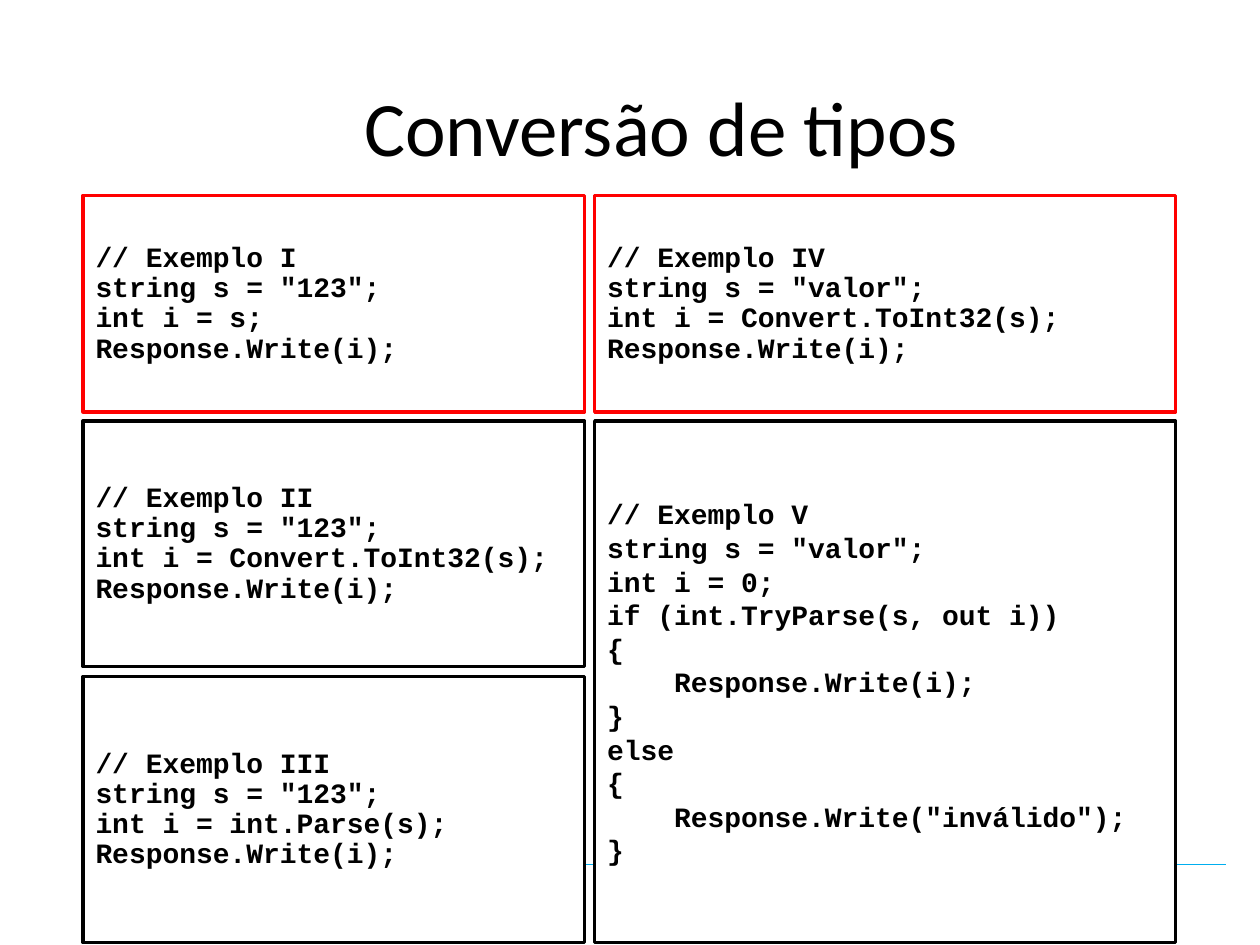
import pptx
import pptx.util
import pptx.dml.color
import pptx.enum.shapes
import pptx.enum.text
from dataclasses import dataclass
from lxml import etree

Inches, Pt = pptx.util.Inches, pptx.util.Pt
RGB = pptx.dml.color.RGBColor.from_string
Anchor, Align = pptx.enum.text.MSO_ANCHOR, pptx.enum.text.PP_ALIGN


@dataclass(frozen=True)
class Theme:
    text: str = "000000"
    paper: str = "FFFFFF"
    works: str = "000000"
    fails: str = "FF0000"
    rule: str = "00AEEF"
    title_font: str = "Calibri"
    code_font: str = "Courier New"
    title_size: int = 44
    code_size: int = 16
    border: float = 2
    rule_width: float = 0.75


THEME = Theme()
TITLE = "Conversão de tipos"

# Grid tracks as (start, length), in inches
COLUMNS = [(0.66, 3.98), (4.72, 4.61)]
ROWS = [(1.55, 1.72), (3.34, 1.95), (5.37, 2.11)]

# Column, first row, last row, border colour, line spacing, code
EXAMPLES = [
    (0, 0, 0, THEME.fails, 0.9, """// Exemplo I
string s = "123";
int i = s;
Response.Write(i);"""),
    (0, 1, 1, THEME.works, 0.9, """// Exemplo II
string s = "123";
int i = Convert.ToInt32(s);
Response.Write(i);"""),
    (0, 2, 2, THEME.works, 0.9, """// Exemplo III
string s = "123";
int i = int.Parse(s);
Response.Write(i);"""),
    (1, 1, 2, THEME.works, 1.0, """// Exemplo V
string s = "valor";
int i = 0;
if (int.TryParse(s, out i))
{
    Response.Write(i);
}
else
{
    Response.Write("inválido");
}"""),
    (1, 0, 0, THEME.fails, 0.9, """// Exemplo IV
string s = "valor";
int i = Convert.ToInt32(s);
Response.Write(i);"""),
]


def style(paragraph, font_name, size, bold, align):
    paragraph.alignment = align
    for run in paragraph.runs:
        run.font.name = font_name
        run.font.size = Pt(size)
        run.font.bold = bold
        run.font.color.rgb = RGB(THEME.text)


def add_footer_rule(slide):
    rule = slide.shapes.add_connector(
        pptx.enum.shapes.MSO_CONNECTOR.STRAIGHT,
        Inches(0.9), Inches(6.86), Inches(9.73), Inches(6.86))
    rule.line.color.rgb = RGB(THEME.rule)
    rule.line.width = Pt(THEME.rule_width)
    etree.SubElement(rule._element.spPr, pptx.oxml.ns.qn("a:effectLst"))


def add_title(slide):
    title = slide.shapes.title
    title.left, title.top = Inches(0.75), Inches(0.58)
    title.width, title.height = Inches(9), Inches(1.25)
    frame = title.text_frame
    frame.text = TITLE
    frame.vertical_anchor = Anchor.TOP
    style(frame.paragraphs[0], THEME.title_font, THEME.title_size, False, Align.CENTER)


def add_example(slide, column, first_row, last_row, border, spacing, code):
    left, width = COLUMNS[column]
    top = ROWS[first_row][0]
    height = sum(ROWS[last_row]) - top
    panel = slide.shapes.add_shape(
        pptx.enum.shapes.MSO_SHAPE.RECTANGLE,
        Inches(left), Inches(top), Inches(width), Inches(height))
    panel.shadow.inherit = False
    panel.fill.solid()
    panel.fill.fore_color.rgb = RGB(THEME.paper)
    panel.line.color.rgb = RGB(border)
    panel.line.width = Pt(THEME.border)
    frame = panel.text_frame
    frame.word_wrap = True
    frame.vertical_anchor = Anchor.MIDDLE
    frame.text = code
    for paragraph in frame.paragraphs:
        paragraph.line_spacing = spacing
        style(paragraph, THEME.code_font, THEME.code_size, True, Align.LEFT)


def main():
    deck = pptx.Presentation()
    deck.slide_width, deck.slide_height = Inches(10), Inches(7.5)
    slide = deck.slides.add_slide(deck.slide_layouts[5])
    add_footer_rule(slide)
    add_title(slide)
    for example in EXAMPLES:
        add_example(slide, *example)
    deck.save("out.pptx")


if __name__ == "__main__":
    main()
